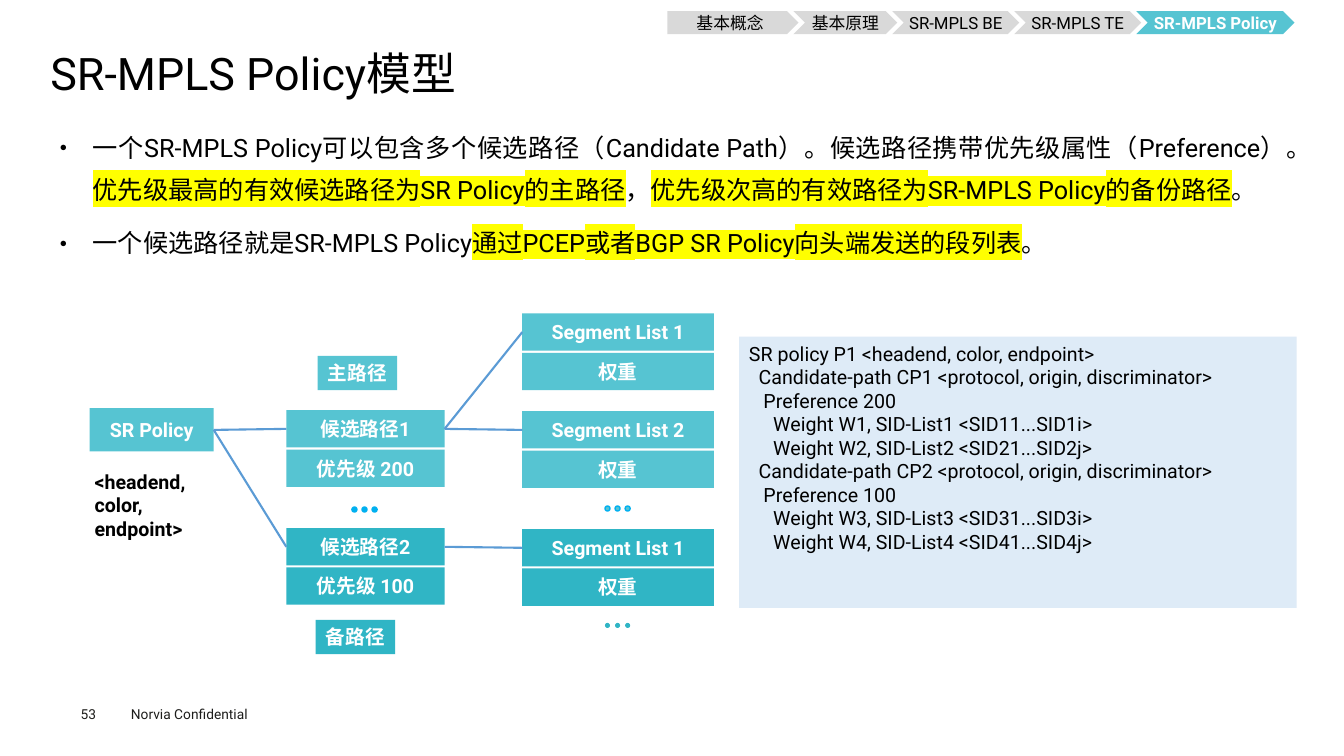
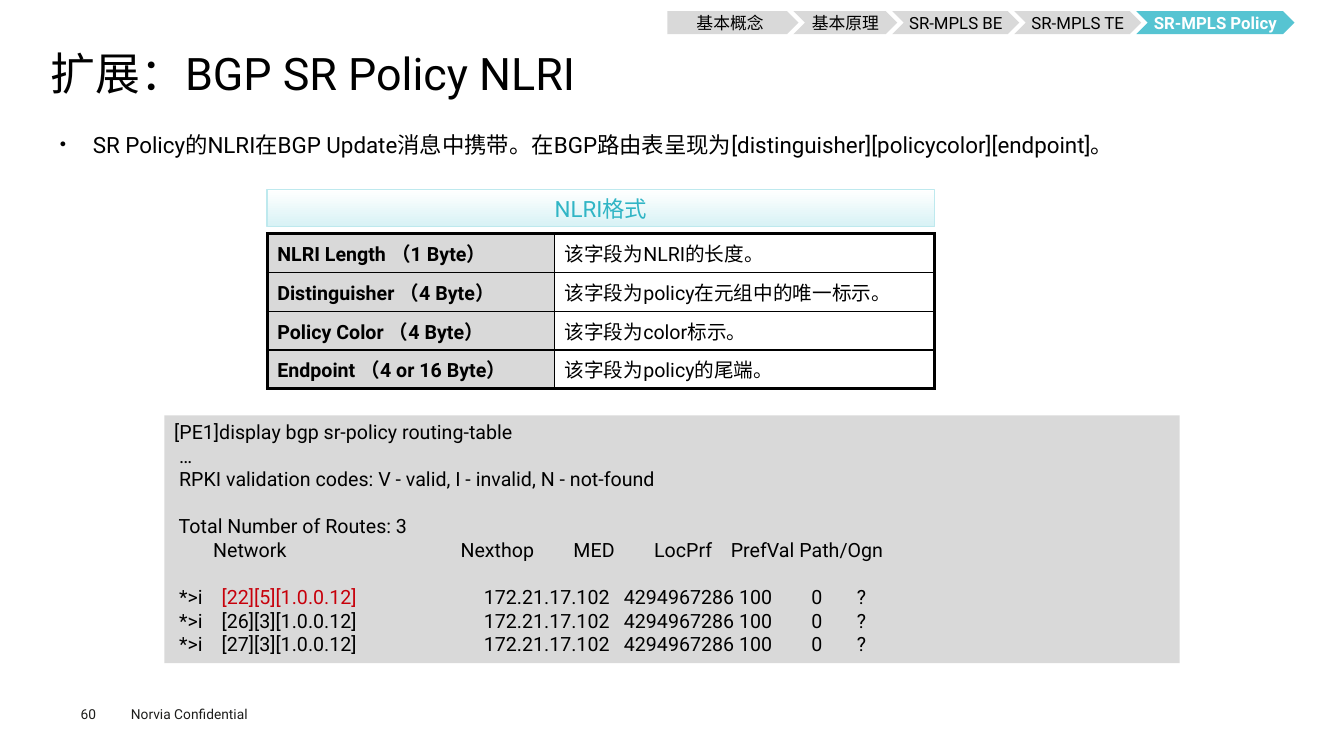
from lxml.etree import SubElement
from pptx import Presentation
from pptx.dml.color import RGBColor
from pptx.enum.shapes import MSO_CONNECTOR as LINK, MSO_SHAPE as SHAPE
from pptx.enum.text import MSO_ANCHOR as ANCHOR, MSO_AUTO_SIZE as FIT, PP_ALIGN as ALIGN
from pptx.oxml.ns import qn
from pptx.util import Pt

PX = 9144  # one px is a hundredth of an inch
FONT = "Roboto"
INK, WHITE, GRAY, NOTE = "000000", "FFFFFF", "D9D9D9", "1D1D1B"
TEAL, DEEP, MIST, SKY = "56C4D2", "30B5C5", "BEE9EE", "00B0F0"
WIRE, PALE, YELLOW, RED = "5B9BD5", "DEEBF7", "FFFF00", "C7000B"
TRAIL = [("基本概念", 130), ("基本原理", 103), ("SR-MPLS BE", 126),
         ("SR-MPLS TE", 126), ("SR-MPLS Policy", 157)]


def color(code):
    return RGBColor.from_string(code)


def px(*sizes):
    return [size * PX for size in sizes]


def glow(run):
    """Highlight a run."""
    fill = run.font._element.find(qn("a:solidFill"))
    mark = SubElement(run.font._element, qn("a:highlight"))
    SubElement(mark, qn("a:srgbClr"), val=YELLOW)
    fill.addnext(mark)


def redden(run):
    run.font.color.rgb = color(RED)


class Deck:
    def __init__(self):
        self.show = Presentation()
        self.show.slide_width, self.show.slide_height = px(1333, 750)
        self.slide = None

    # Text: pieces between bars are marked
    def text(self, frame, lines, size, ink=INK, bold=False, align=ALIGN.LEFT, mark=None):
        frame.word_wrap = True
        frame.auto_size = FIT.NONE
        for i, line in enumerate(lines):
            par = frame.add_paragraph() if i else frame.paragraphs[0]
            par.alignment = align
            for n, piece in enumerate(line.split("|")):
                run = par.add_run()
                run.text = piece
                run.font.name, run.font.size, run.font.bold = FONT, Pt(size), bold
                run.font.color.rgb = color(ink)
                if n % 2:
                    mark(run)
        return frame.paragraphs

    def inset(self, frame, side=0, top=0):
        frame.margin_left = frame.margin_right = side * PX
        frame.margin_top = frame.margin_bottom = top * PX

    def place(self, shape, rect):
        shape.left, shape.top, shape.width, shape.height = px(*rect)

    # Page frame: title, trail and footer
    def page(self, title, number):
        self.slide = self.show.slides.add_slide(self.show.slide_layouts[1])
        head = self.slide.shapes.title
        self.place(head, (50, 49, 1235, 53))
        frame = head.text_frame
        self.inset(frame)
        frame.vertical_anchor = ANCHOR.MIDDLE
        self.text(frame, [title], 32)[0].line_spacing = 0.9
        left = 662
        for i, (name, width) in enumerate(TRAIL):
            last = i == len(TRAIL) - 1
            step = self.box((left, 11, width, 23), name, TEAL if last else GRAY,
                            WHITE if last else INK, 12, last,
                            SHAPE.CHEVRON if i else SHAPE.PENTAGON)
            self.inset(step.text_frame)
            step.text_frame.word_wrap = False
            left += width - 5
        self.label((120, 695, 160, 27), "Norvia Confidential", 9.8, NOTE)
        self.inset(self.label((80, 700, 55, 16), number, 9.8, NOTE))

    def bullets(self, lines, size, height):
        body = self.slide.placeholders[1]
        self.place(body, (50, 115, 1235, height))
        frame = body.text_frame
        self.inset(frame, 9, 4)
        frame.vertical_anchor = ANCHOR.TOP
        pars = self.text(frame, lines, size, align=ALIGN.JUSTIFY, mark=glow)
        for i, par in enumerate(pars):
            props = par._p.get_or_add_pPr()
            props.set("marL", str(33 * PX))
            props.set("indent", str(-33 * PX))
            SubElement(props, qn("a:buSzPct"), val="50000")
            SubElement(props, qn("a:buChar"), char="●")
            par.line_spacing = 1.4
            par.space_before = Pt(7.9 if i else 0)

    def label(self, rect, text, size, ink=INK, bold=False):
        frame = self.slide.shapes.add_textbox(*px(*rect)).text_frame
        self.text(frame, [text], size, ink, bold)
        return frame

    # Shapes
    def shape(self, rect, fill, kind=SHAPE.RECTANGLE, edge=None):
        item = self.slide.shapes.add_shape(kind, *px(*rect))
        item.shadow.inherit = False
        item.fill.solid()
        item.fill.fore_color.rgb = color(fill)
        if edge:
            item.line.color.rgb = color(edge)
            item.line.width = Pt(1)
        else:
            item.line.fill.background()
        return item

    def box(self, rect, text, fill, ink=WHITE, size=14, bold=True,
            kind=SHAPE.RECTANGLE, edge=None):
        item = self.shape(rect, fill, kind, edge)
        item.text_frame.vertical_anchor = ANCHOR.MIDDLE
        self.text(item.text_frame, [text], size, ink, bold, ALIGN.CENTER)
        return item

    def pair(self, left, top, width, names, fill):
        """Stack two boxes and return the upper one."""
        upper, _ = [self.box((left, top + 39 * i, width, 37), name, fill)
                    for i, name in enumerate(names)]
        return upper

    def dots(self, left, top, fill, edge=None):
        for i in range(3):
            self.shape((left + 10 * i, top, 5, 5), fill, SHAPE.OVAL, edge)

    def link(self, start, end):
        """Join the right side of start to the left side of end."""
        line = self.slide.shapes.add_connector(LINK.STRAIGHT, 0, 0, 0, 0)
        line.begin_connect(start, 3)
        line.end_connect(end, 1)
        line.line.color.rgb = color(WIRE)
        line.line.width = Pt(1.5)
        SubElement(line._element.spPr, qn("a:effectLst"))

    def code(self, rect, lines, fill):
        frame = self.shape(rect, fill).text_frame
        frame.vertical_anchor = ANCHOR.TOP
        return self.text(frame, lines, 14, mark=redden)

    def tabs(self, par, stops):
        group = SubElement(par._p.get_or_add_pPr(), qn("a:tabLst"))
        for stop in stops:
            SubElement(group, qn("a:tab"), pos=str(stop * PX), algn="l")

    def band(self, rect, text):
        item = self.box(rect, text, WHITE, DEEP, 16, False, edge=MIST)
        self.inset(item.text_frame)
        item.fill.gradient()
        item.fill.gradient_angle = 270
        for stop, tint in zip(item.fill.gradient_stops, (WHITE, "D8F2F5")):
            stop.color.rgb = color(tint)

    # Table
    def border(self, cell, widths):
        props = cell._tc.get_or_add_tcPr()
        for i, (side, width) in enumerate(zip("LRTB", widths)):
            line = SubElement(props, qn("a:ln" + side), w=str(Pt(width)))
            SubElement(SubElement(line, qn("a:solidFill")), qn("a:srgbClr"), val=INK)
            props.insert(i, line)

    def table(self, rect, cols, rows):
        grid = self.slide.shapes.add_table(len(rows), len(cols), *px(*rect)).table
        grid.first_row = grid.horz_banding = False
        for col, width in zip(grid.columns, px(*cols)):
            col.width = width
        thick, thin = 2.25, 1
        for r, row in enumerate(rows):
            for c, text in enumerate(row):
                cell = grid.cell(r, c)
                self.text(cell.text_frame, [text], 14, bold=c == 0)
                if c:
                    cell.vertical_anchor = ANCHOR.MIDDLE
                    cell.fill.background()
                else:
                    cell.fill.solid()
                    cell.fill.fore_color.rgb = color(GRAY)
                outer = (c == 0, c == len(cols) - 1, r == 0, r == len(rows) - 1)
                self.border(cell, [thick if out else thin for out in outer])


def model(deck):
    deck.page("SR-MPLS Policy模型", "53")
    deck.bullets([
        "一个SR-MPLS Policy可以包含多个候选路径（Candidate Path）。"
        "候选路径携带优先级属性（Preference）。"
        "|优先级最高的有效候选路径为SR Policy的主路径|，"
        "|优先级次高的有效路径为SR-MPLS Policy的备份路径|。",
        "一个候选路径就是SR-MPLS Policy|通过PCEP或者BGP SR Policy向头端发送的段列表|。",
    ], 18, 138)

    # Policy tree
    root = deck.box((89, 405, 123, 43), "SR Policy", TEAL)
    deck.label((84, 461, 139, 81), "<headend, color, endpoint>", 14, bold=True)
    first = deck.pair(284, 407, 157, ("候选路径1", "优先级 200"), TEAL)
    spare = deck.pair(284, 524, 157, ("候选路径2", "优先级 100"), DEEP)
    for route in (first, spare):
        deck.link(root, route)
    for route, top, name, fill in ((first, 311, "Segment List 1", TEAL),
                                   (first, 408, "Segment List 2", TEAL),
                                   (spare, 525, "Segment List 1", DEEP)):
        deck.link(route, deck.pair(518, top, 190, (name, "权重"), fill))
    deck.box((315, 353, 79, 34), "主路径", TEAL)
    deck.box((313, 615, 79, 34), "备路径", DEEP)
    deck.dots(349, 503, SKY, SKY)
    deck.dots(600, 502, TEAL, SKY)
    deck.dots(600, 618, DEEP)

    # Policy listing
    lines = ["SR policy P1 <headend, color, endpoint>"]
    for route, rank in ((1, 200), (2, 100)):
        lines += [f"  Candidate-path CP{route} <protocol, origin, discriminator>",
                  f"   Preference {rank}"]
        lines += [f"     Weight W{n}, SID-List{n} <SID{n}1...SID{n}{end}>"
                  for n, end in ((2 * route - 1, "i"), (2 * route, "j"))]
    deck.code((733, 334, 553, 269), lines, PALE)


def nlri(deck):
    deck.page("扩展：BGP SR Policy NLRI", "60")
    deck.bullets(["SR Policy的NLRI在BGP Update消息中携带。在BGP路由表呈现为"
                  "[distinguisher][policycolor][endpoint]。"], 16, 534)

    # Field table
    deck.band((265, 188, 662, 37), "NLRI格式")
    deck.table((265, 232, 662, 140), (285, 377), [
        ("NLRI Length （1 Byte）", "该字段为NLRI的长度。"),
        ("Distinguisher （4 Byte）", "该字段为policy在元组中的唯一标示。"),
        ("Policy Color （4 Byte）", "该字段为color标示。"),
        ("Endpoint （4 or 16 Byte）", "该字段为policy的尾端。"),
    ])

    # Routing table
    routes = ("|[22][5][1.0.0.12]|", "[26][3][1.0.0.12]", "[27][3][1.0.0.12]")
    pars = deck.code((163, 412, 1007, 246), [
        "[PE1]display bgp sr-policy routing-table",
        " …",
        " RPKI validation codes: V - valid, I - invalid, N - not-found",
        " Total Number of Routes: 3",
        "        Network\tNexthop\tMED\tLocPrf\tPrefVal Path/Ogn",
        *[f" *>i\t{route}\t172.21.17.102\t4294967286 100\t0\t?" for route in routes],
    ], GRAY)
    deck.tabs(pars[4], (284, 396, 476, 552))
    for par in pars[5:]:
        deck.tabs(par, (47, 307, 446, 632, 677))
    for par in (pars[3], pars[5]):
        par.space_before = Pt(16.8)


def main():
    deck = Deck()
    model(deck)
    nlri(deck)
    deck.show.save("out.pptx")


if __name__ == "__main__":
    main()
